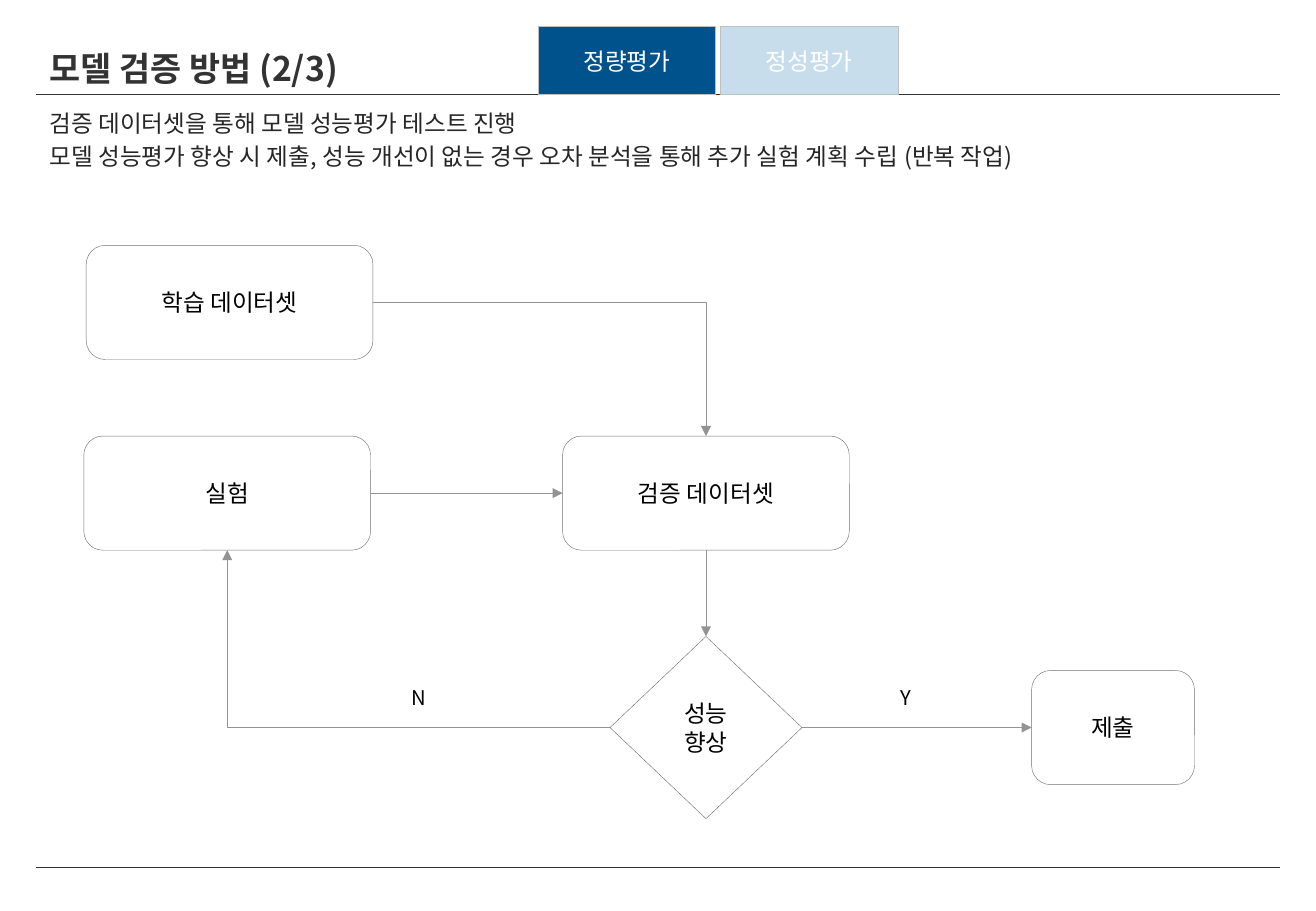
from pptx import Presentation
from pptx import util as u
from pptx.dml.color import RGBColor
from pptx.enum import shapes, text
from pptx.oxml.ns import qn
from lxml import etree

FONT = "Noto Sans CJK KR"
COLORS = {
    "white": "FFFFFF", "black": "000000", "title": "333333", "body": "262626",
    "outline": "6F6F6F", "arrow": "939393", "tab_line": "BFBFBF",
    "tab_on": "00528C", "tab_off": "C8DDEC",
}
TOP, LEFT, BOTTOM, RIGHT = range(4)


def color(name):
    return RGBColor.from_string(COLORS[name])


def write(shape, content, size=14, ink="black", bold=False, align="CENTER",
          anchor="MIDDLE", wrap=True, gap=0):
    frame = shape.text_frame
    frame.word_wrap = wrap
    frame.vertical_anchor = getattr(text.MSO_ANCHOR, anchor)
    for index, line in enumerate(content.split("\n")):
        paragraph = frame.add_paragraph() if index else frame.paragraphs[0]
        paragraph.alignment = getattr(text.PP_ALIGN, align)
        if index:
            paragraph.space_before = u.Pt(gap)
        run = paragraph.add_run()
        run.text = line
        font = run.font
        font.name, font.size, font.bold = FONT, u.Pt(size), bold
        font.color.rgb = color(ink)
        latin = run._r.rPr.find(qn("a:latin"))
        latin.addnext(latin.makeelement(qn("a:ea"), {"typeface": FONT}))


def add_box(slide, kind, box, content, fill="white", line="outline", ink="black"):
    shape = slide.shapes.add_shape(kind, *map(u.Inches, box))
    shape.shadow.inherit = False
    shape.fill.solid()
    shape.fill.fore_color.rgb = color(fill)
    shape.line.color.rgb = color(line)
    shape.line.width = u.Pt(0.25)
    write(shape, content, ink=ink)
    return shape


def add_text(slide, box, content, **style):
    shape = slide.shapes.add_textbox(*map(u.Inches, box))
    write(shape, content, align="LEFT", **style)
    return shape


def add_line(slide, kind, points, ink, width):
    line = slide.shapes.add_connector(kind, *map(u.Inches, points))
    line.line.color.rgb = color(ink)
    line.line.width = u.Pt(width)
    etree.SubElement(line._element.spPr, qn("a:effectLst"))
    return line


def add_arrow(slide, source, source_side, target, target_side, bent=False):
    kind = shapes.MSO_CONNECTOR.ELBOW if bent else shapes.MSO_CONNECTOR.STRAIGHT
    arrow = add_line(slide, kind, (0, 0, 1, 1), "arrow", 0.25)
    arrow.begin_connect(source, source_side)
    arrow.end_connect(target, target_side)
    properties = arrow._element.spPr
    if bent:  # one corner only
        properties.find(qn("a:prstGeom")).set("prst", "bentConnector2")
    etree.SubElement(properties.find(qn("a:ln")), qn("a:tailEnd"), type="triangle")


def add_frame(slide, left, top, width, height):
    for y in (top, top + height):
        add_line(slide, shapes.MSO_CONNECTOR.STRAIGHT,
                 (left, y, left + width, y), "title", 0.5)


def add_heading(slide, left, top):
    add_text(slide, (left, top, 6.67, 0.3), "모델 검증 방법 (2/3)",
             size=20, ink="title", bold=True)
    add_text(slide, (left, top + 0.44, 10.24, 0.78),
             "검증 데이터셋을 통해 모델 성능평가 테스트 진행\n"
             "모델 성능평가 향상 시 제출, 성능 개선이 없는 경우 오차 분석을 통해 "
             "추가 실험 계획 수립 (반복 작업)",
             ink="body", anchor="TOP", gap=2.8)


def add_tabs(slide, left, top):
    tabs = (("정량평가", "tab_on"), ("정성평가", "tab_off"))
    for index, (label, fill) in enumerate(tabs):
        add_box(slide, shapes.MSO_SHAPE.RECTANGLE, (left + index * 1.5, top, 1.46, 0.56),
                label, fill, "tab_line", "white")


def add_flowchart(slide, left, top):
    # Steps
    def step(x, y, label, width=2.36, height=0.94, kind="ROUNDED_RECTANGLE"):
        return add_box(slide, getattr(shapes.MSO_SHAPE, kind),
                       (left + x, top + y, width, height), label)

    training = step(0.02, 0, "학습 데이터셋")
    experiment = step(0, 1.57, "실험")
    validation = step(3.94, 1.57, "검증 데이터셋")
    decision = step(4.33, 3.22, "성능\n향상", 1.58, 1.5, "DIAMOND")
    submission = step(7.8, 3.5, "제출", 1.34)

    # Arrows
    add_arrow(slide, training, RIGHT, validation, TOP, bent=True)
    add_arrow(slide, experiment, RIGHT, validation, LEFT)
    add_arrow(slide, validation, BOTTOM, decision, TOP)
    add_arrow(slide, decision, RIGHT, submission, LEFT)
    add_arrow(slide, decision, LEFT, experiment, BOTTOM, bent=True)

    # Branch labels
    for x, label in ((2.6, "N"), (6.62, "Y")):
        branch = add_text(slide, (left + x, top + 3.57, 0.32, 0.3), label,
                          size=12, anchor="TOP", wrap=False)
        branch.fill.solid()
        branch.fill.fore_color.rgb = color("white")


def main():
    presentation = Presentation()
    presentation.slide_width = u.Inches(10.83)
    presentation.slide_height = u.Inches(7.5)
    slide = presentation.slides.add_slide(presentation.slide_layouts[6])
    add_frame(slide, 0.3, 0.78, 10.23, 6.36)
    add_heading(slide, 0.31, 0.41)
    add_flowchart(slide, 0.69, 2.02)
    add_tabs(slide, 4.43, 0.22)
    presentation.save("out.pptx")


if __name__ == "__main__":
    main()
